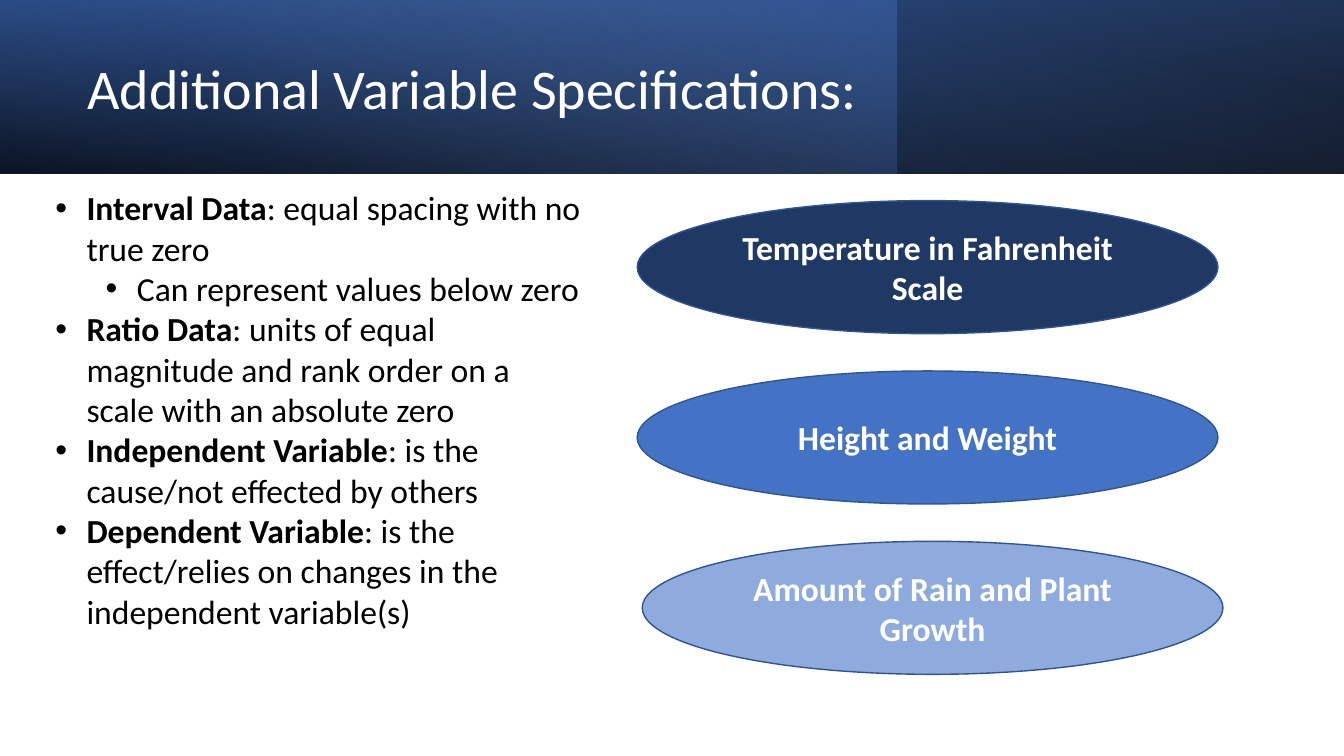
from lxml.etree import SubElement
from pptx import Presentation
from pptx.dml.color import RGBColor
from pptx.enum.shapes import MSO_SHAPE
from pptx.enum.text import MSO_ANCHOR, MSO_AUTO_SIZE, PP_ALIGN
from pptx.oxml.ns import qn
from pptx.util import Inches, Pt


def rgb(color):
    return RGBColor.from_string(color)


def add_text(p, text, size=24, color="000000", bold=False, font="Calibri"):
    r = p.add_run()
    r.text = text
    r.font.name, r.font.size, r.font.bold = font, Pt(size), bold
    r.font.color.rgb = rgb(color)


class SlideBuilder:
    outline = "325491"
    light = "FFFFFF"

    def __init__(self, slide):
        self.s = slide

    def shape(self, kind, box):
        sp = self.s.shapes.add_shape(kind, *map(Inches, box))
        sp.shadow.inherit = False
        return sp

    def gradient_band(self, width, stops, angle, flip=False, rotation=0):
        """Stops are (position %, colour, opacity %)."""
        sp = self.shape(MSO_SHAPE.RECTANGLE, (0, 0, width, 1.72))
        sp.line.fill.background()
        sp.rotation = rotation
        if flip:
            sp.element.spPr.find(qn("a:xfrm")).set("flipH", "1")
        sp.fill.gradient()
        grad = sp.element.spPr.find(qn("a:gradFill"))
        for child in list(grad):
            grad.remove(child)
        stop_list = SubElement(grad, qn("a:gsLst"))
        for pos, color, opacity in stops:
            gs = SubElement(stop_list, qn("a:gs"), pos=str(pos * 1000))
            clr = SubElement(gs, qn("a:srgbClr"), val=color)
            SubElement(clr, qn("a:alpha"), val=str(opacity * 1000))
        SubElement(grad, qn("a:lin"), ang=str(angle * 60000), scaled="0")

    def text_box(self, box):
        tf = self.s.shapes.add_textbox(*map(Inches, box)).text_frame
        tf.word_wrap = True
        return tf

    def title(self, box, text):
        tf = self.text_box(box)
        tf.vertical_anchor = MSO_ANCHOR.MIDDLE
        p = tf.paragraphs[0]
        p.line_spacing = 0.9
        add_text(p, text, size=40, color=self.light)

    def bullets(self, box, items):
        """Items are (level, bold term, remaining text)."""
        tf = self.text_box(box)
        tf.auto_size = MSO_AUTO_SIZE.SHAPE_TO_FIT_TEXT
        for i, (level, term, rest) in enumerate(items):
            p = tf.add_paragraph() if i else tf.paragraphs[0]
            p.level = level
            pPr = p._p.get_or_add_pPr()
            pPr.set("marL", str(Inches(0.31 + 0.5 * level)))
            pPr.set("indent", str(Inches(-0.31)))
            SubElement(pPr, qn("a:buFont"), typeface="Arial")
            SubElement(pPr, qn("a:buChar"), char="•")
            if term:
                add_text(p, term, bold=True)
            add_text(p, rest)

    def ellipse(self, box, text, fill):
        sp = self.shape(MSO_SHAPE.OVAL, box)
        sp.fill.solid()
        sp.fill.fore_color.rgb = rgb(fill)
        sp.line.color.rgb = rgb(self.outline)
        sp.line.width = Pt(1)
        tf = sp.text_frame
        tf.word_wrap = True
        tf.vertical_anchor = MSO_ANCHOR.MIDDLE
        p = tf.paragraphs[0]
        p.alignment = PP_ALIGN.CENTER
        add_text(p, text, color=self.light, bold=True)


prs = Presentation()
prs.slide_width, prs.slide_height = Inches(13.33), Inches(7.5)
b = SlideBuilder(prs.slides.add_slide(prs.slide_layouts[6]))

# Header: three layered gradients
b.gradient_band(13.33, [(0, "000000", 96), (100, "2F5597", 100)], 100,
                flip=True, rotation=180)
b.gradient_band(8.89, [(0, "4472C4", 41), (74, "8FAADC", 0)], 140)
b.gradient_band(13.33, [(0, "000000", 63), (78, "4472C4", 15)], 260, flip=True)
b.title((0.77, 0.27, 8.37, 1.27), "Additional Variable Specifications:")

# Definitions
b.bullets((0.45, 1.81, 5.42, 4.54), [
    (0, "Interval Data", ": equal spacing with no true zero"),
    (1, "", "Can represent values below zero"),
    (0, "Ratio Data", ": units of equal magnitude and rank order on a scale "
                      "with an absolute zero"),
    (0, "Independent Variable", ": is the cause/not effected by others"),
    (0, "Dependent Variable", ": is the effect/relies on changes in the "
                              "independent variable(s)"),
])

# Examples
examples = [
    (6.32, "Temperature in Fahrenheit Scale", "203864"),
    (6.32, "Height and Weight", "4472C4"),
    (6.37, "Amount of Rain and Plant Growth", "8FAADC"),
]
for i, (left, text, fill) in enumerate(examples):
    b.ellipse((left, 1.99 + 1.69 * i, 5.76, 1.32), text, fill)

prs.save("out.pptx")
